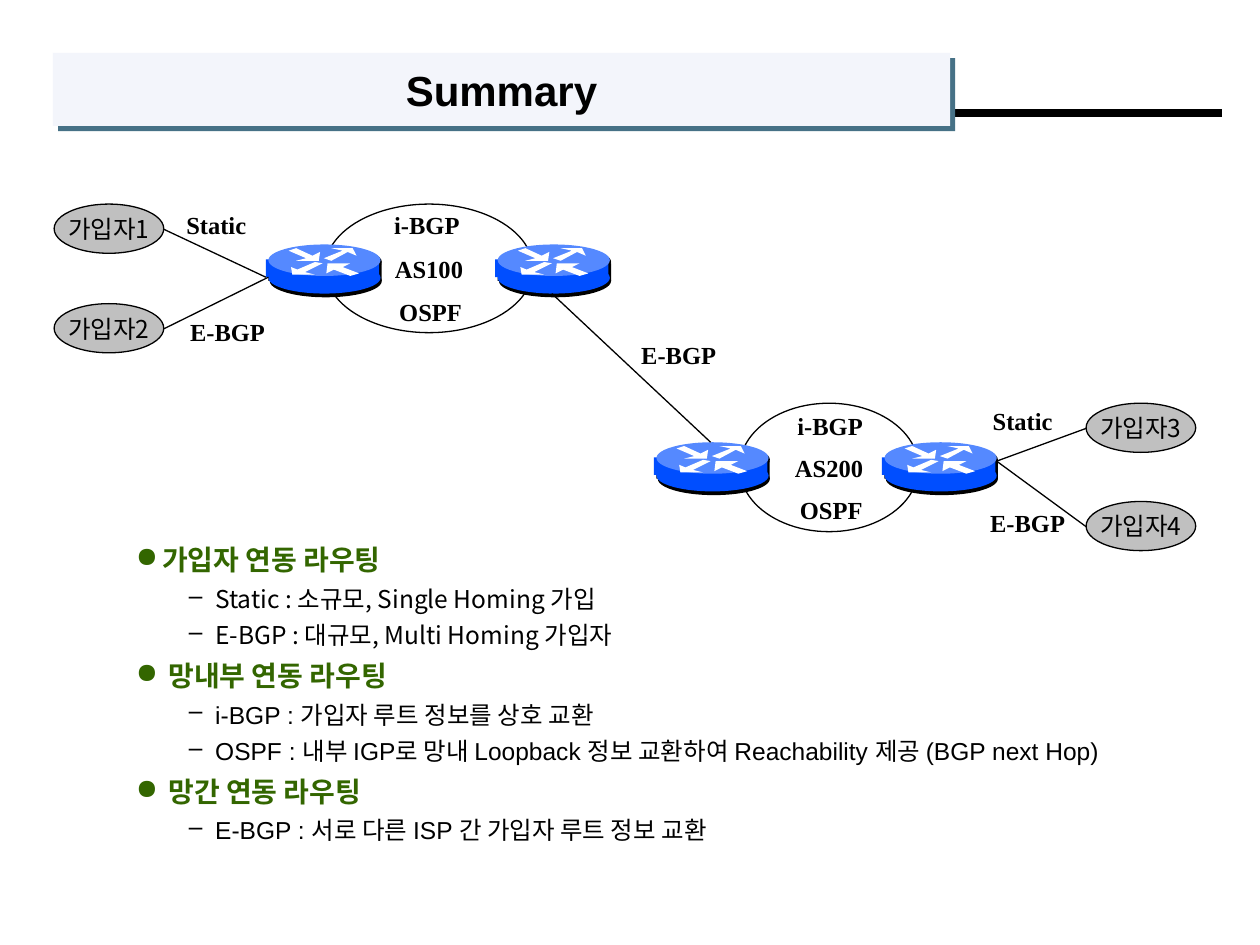
import pptx
import pptx.util
import pptx.dml.color
import pptx.enum.shapes
import pptx.enum.text
import pptx.oxml
import pptx.oxml.ns
from dataclasses import dataclass

Inches = pptx.util.Inches
SHAPE = pptx.enum.shapes.MSO_SHAPE
ALIGN = pptx.enum.text.PP_ALIGN


@dataclass(frozen=True)
class Theme:
    black: str = "000000"
    white: str = "FFFFFF"
    title_fill: str = "F3F5FB"
    title_shadow: str = "467186"
    subscriber: str = "C0C0C0"
    router_side: str = "004EFF"
    router_top: str = "5589FF"
    heading: str = "336600"
    sans: str = "Arial"
    serif: str = "Times New Roman"
    korean: str = "Noto Sans CJK KR"
    title_size: int = 24
    heading_size: int = 16
    text_size: int = 14
    thin: float = 0.75
    thick: float = 4.5


THEME = Theme()

TITLE = "Summary"
NETWORKS = [("AS200", 5.87, 3.2, 1.42, 1.02), ("AS100", 2.58, 1.62, 1.65, 1.02)]
ROUTERS = [(2.11, 1.94), (3.93, 1.94), (5.19, 3.51), (7.0, 3.51)]
SUBSCRIBERS = [("가입자1", 0.43, 1.62), ("가입자2", 0.43, 2.41),
               ("가입자3", 8.62, 3.2), ("가입자4", 8.62, 3.98)]
SUBSCRIBER_SIZE = (0.87, 0.39)
LINKS = [(4.38, 2.33, 5.64, 3.51), (1.3, 1.82, 2.11, 2.2), (1.3, 2.61, 2.13, 2.2),
         (7.91, 3.66, 8.62, 3.4), (7.91, 3.66, 8.62, 4.18)]
LABELS = [("Static", 1.38, 1.62), ("E-BGP", 1.41, 2.47), ("E-BGP", 7.76, 3.98),
          ("Static", 7.78, 3.17), ("E-BGP", 4.99, 2.65), ("i-BGP", 3.03, 1.62),
          ("OSPF", 3.07, 2.31), ("OSPF", 6.25, 3.88), ("i-BGP", 6.23, 3.21)]
LABEL_SIZE = (1.18, 0.34)
OUTLINE = [
    ("가입자 연동 라우팅", THEME.sans,
     ["Static : 소규모, Single Homing 가입", "E-BGP : 대규모, Multi Homing 가입자"], THEME.korean),
    (" 망내부 연동 라우팅", THEME.sans,
     ["i-BGP : 가입자 루트 정보를 상호 교환",
      "OSPF : 내부 IGP로 망내 Loopback 정보 교환하여 Reachability 제공 (BGP next Hop)"], THEME.sans),
    (" 망간 연동 라우팅", THEME.sans,
     ["E-BGP : 서로 다른 ISP 간 가입자 루트 정보 교환"], THEME.sans),
]

# Router parts, measured from the router's top left corner
ROUTER_BODY = [
    (SHAPE.RECTANGLE, 0.02, 0.15, 0.9, 0.14, THEME.black),
    (SHAPE.OVAL, 0.03, 0.16, 0.89, 0.26, THEME.black),
    (SHAPE.OVAL, 0.03, 0.01, 0.89, 0.26, THEME.black),
    (SHAPE.RECTANGLE, 0, 0.12, 0.9, 0.14, THEME.router_side),
    (SHAPE.OVAL, 0.02, 0.14, 0.89, 0.25, THEME.router_side),
    (SHAPE.OVAL, 0.02, 0, 0.89, 0.25, THEME.router_top),
]
ROUTER_ARROWS = [
    [(0.18, 0.05), (0.24, 0.03), (0.37, 0.09), (0.43, 0.06), (0.42, 0.13), (0.24, 0.13), (0.32, 0.11)],
    [(0.74, 0.23), (0.67, 0.25), (0.54, 0.2), (0.48, 0.23), (0.49, 0.15), (0.67, 0.15), (0.61, 0.18)],
    [(0.46, 0.11), (0.52, 0.13), (0.65, 0.06), (0.72, 0.09), (0.69, 0.03), (0.52, 0.03), (0.61, 0.05)],
    [(0.45, 0.15), (0.39, 0.14), (0.25, 0.2), (0.2, 0.18), (0.21, 0.24), (0.39, 0.24), (0.31, 0.22)],
]


def rgb(color):
    return pptx.dml.color.RGBColor.from_string(color)


def box(*lengths):
    return [Inches(length) for length in lengths]


def add_xml(parent, markup):
    """Append an element given with {ns} where its namespace declaration goes."""
    element = pptx.oxml.parse_xml(markup.format(ns=pptx.oxml.ns.nsdecls("a")))
    parent.append(element)


def paint(shape, fill, line=None):
    shape.shadow.inherit = False
    shape.fill.solid()
    shape.fill.fore_color.rgb = rgb(fill)
    if line:
        shape.line.color.rgb = rgb(line)
        shape.line.width = pptx.util.Pt(THEME.thin)
    else:
        shape.line.fill.background()


def format_runs(paragraph, font_name, size, bold=False, color=THEME.black):
    for run in paragraph.runs:
        run.font.name = font_name
        run.font.size = pptx.util.Pt(size)
        run.font.bold = bold
        run.font.color.rgb = rgb(color)
        add_xml(run.font._element, '<a:ea {ns} typeface="' + THEME.korean + '"/>')


def add_line(shapes, ends, width):
    line = shapes.add_connector(pptx.enum.shapes.MSO_CONNECTOR.STRAIGHT, *box(*ends))
    line.line.color.rgb = rgb(THEME.black)
    line.line.width = pptx.util.Pt(width)
    add_xml(line._element.spPr, "<a:effectLst {ns}/>")
    return line


def add_ellipse(shapes, text, place, fill, font_name, bold):
    ellipse = shapes.add_shape(SHAPE.OVAL, *box(*place))
    paint(ellipse, fill, THEME.black)
    frame = ellipse.text_frame
    frame.text = text
    frame.word_wrap = False
    frame.vertical_anchor = pptx.enum.text.MSO_ANCHOR.MIDDLE
    frame.paragraphs[0].alignment = ALIGN.CENTER
    format_runs(frame.paragraphs[0], font_name, THEME.text_size, bold)


def add_router(shapes, left, top):
    router = shapes.add_group_shape().shapes
    for kind, x, y, width, height, color in ROUTER_BODY:
        paint(router.add_shape(kind, *box(left + x, top + y, width, height)), color)
    for arrow in ROUTER_ARROWS:
        points = [box(left + x, top + y) for x, y in arrow]
        builder = router.build_freeform(*points[0])
        builder.add_line_segments(points[1:], close=True)
        paint(builder.convert_to_shape(), THEME.white)


def add_label(shapes, text, left, top):
    frame = shapes.add_textbox(*box(left, top, *LABEL_SIZE)).text_frame
    frame.word_wrap = True
    frame.text = text
    format_runs(frame.paragraphs[0], THEME.serif, THEME.text_size, True)


def format_title(title):
    title.left, title.top, title.width, title.height = box(0.42, 0.42, 7.12, 0.58)
    paint(title, THEME.title_fill)
    title.shadow.inherit = True
    add_xml(title._element.spPr,
            '<a:effectLst {ns}><a:outerShdw dist="53340" dir="2700000" algn="ctr" rotWithShape="0">'
            '<a:srgbClr val="' + THEME.title_shadow + '"/></a:outerShdw></a:effectLst>')
    frame = title.text_frame
    frame.text = TITLE
    frame.auto_size = pptx.enum.text.MSO_AUTO_SIZE.NONE
    frame.vertical_anchor = pptx.enum.text.MSO_ANCHOR.MIDDLE
    frame.paragraphs[0].alignment = ALIGN.CENTER
    format_runs(frame.paragraphs[0], THEME.sans, THEME.title_size, True)


def add_outline(shapes):
    rows = []
    for heading, heading_font, items, item_font in OUTLINE:
        rows.append((heading, heading_font, 1, 0.73, "●", THEME.heading_size, THEME.heading, 3))
        rows += [(item, item_font, 2, 1.15, "–", THEME.text_size, THEME.black, 2.6) for item in items]
    frame = shapes.add_textbox(*box(0.46, 4.23, 9.17, 2.67)).text_frame
    frame.word_wrap = True
    frame.text = "\n".join(row[0] for row in rows)
    for index, (paragraph, row) in enumerate(zip(frame.paragraphs, rows)):
        _, font_name, level, margin, bullet, size, color, space = row
        paragraph.level = level
        paragraph.line_spacing = 1.1
        if index:
            paragraph.space_before = pptx.util.Pt(space)
        properties = paragraph._p.get_or_add_pPr()
        properties.set("marL", str(Inches(margin)))
        properties.set("indent", str(Inches(-0.21)))
        add_xml(properties, '<a:buClr {ns}><a:srgbClr val="' + color + '"/></a:buClr>')
        add_xml(properties, '<a:buChar {ns} char="' + bullet + '"/>')
        format_runs(paragraph, font_name, size, level == 1, color)


def main():
    presentation = pptx.Presentation()
    presentation.slide_width, presentation.slide_height = box(10, 7.5)
    slide = presentation.slides.add_slide(presentation.slide_layouts[5])
    shapes = slide.shapes
    format_title(shapes.title)
    rule = add_line(shapes, (0.46, 0.9, 9.7, 0.9), THEME.thick)
    shapes.title._element.addprevious(rule._element)  # the rule runs behind the title
    for name, *place in NETWORKS:
        add_ellipse(shapes, name, place, THEME.white, THEME.serif, True)
    for left, top in ROUTERS:
        add_router(shapes, left, top)
    for ends in LINKS:
        add_line(shapes, ends, THEME.thin)
    for name, left, top in SUBSCRIBERS:
        add_ellipse(shapes, name, (left, top, *SUBSCRIBER_SIZE), THEME.subscriber, THEME.korean, False)
    for label in LABELS:
        add_label(shapes, *label)
    add_outline(shapes)
    presentation.save("out.pptx")


if __name__ == "__main__":
    main()
